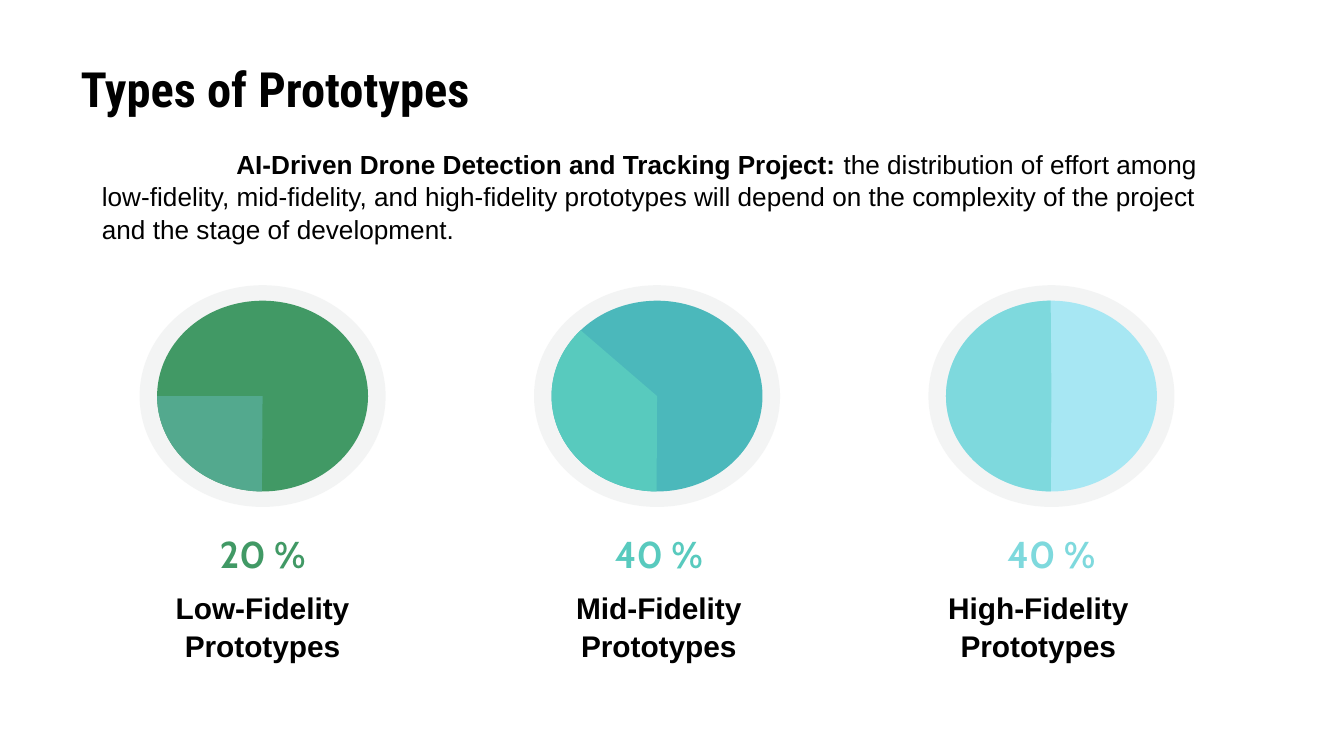
from dataclasses import dataclass

from lxml import etree
from pptx import Presentation
from pptx.dml.color import RGBColor
from pptx.enum import shapes, text
from pptx.oxml.ns import qn
from pptx.util import Pt


@dataclass(frozen=True)
class Theme:
    ink: str = "000000"
    ring: str = "E3E5E5"
    ring_alpha: int = 40
    title_font: str = "Roboto Condensed"
    body_font: str = "Arial"
    number_font: str = "Cabin"
    title_size: float = 26
    body_size: float = 14
    number_size: float = 20
    label_size: float = 16
    line_spacing: float = 1.05


@dataclass(frozen=True)
class Prototype:
    share: str
    label: str
    disc: str
    wedge: str
    number: str
    start: float  # wedge angles in degrees, clockwise from the right
    end: float
    number_shift: float = 0
    label_shift: float = 0


THEME = Theme()
PROTOTYPES = [
    Prototype("20 %", "Low-Fidelity Prototypes", "419965", "53A98E", "419965", 90.41, 179.99),
    Prototype("40 %", "Mid-Fidelity Prototypes", "4BB8BB", "58CABE", "58CABE", 90.25, 220.73, 1, 1),
    Prototype("40 %", "High-Fidelity Prototypes", "A7E7F3", "7ED9DD", "7ED9DD", 90.41, 269.52, 0, -7),
]
FIRST_CENTER, PITCH, MIDDLE = 140.7, 211.3, 212.2
RING_SIZE, DISC_SIZE = (131.8, 118.8), (113, 102.2)
TEXT_WIDTH = 180.5


def add_disc(slide, kind, center: float, size: tuple, color: str):
    """Draw a borderless shape centred on the chart row."""
    w, h = size
    sp = slide.shapes.add_shape(kind, Pt(center - w / 2), Pt(MIDDLE - h / 2), Pt(w), Pt(h))
    sp.shadow.inherit = False
    sp.fill.solid()
    sp.fill.fore_color.rgb = RGBColor.from_string(color)
    sp.line.fill.background()
    return sp


def add_text(slide, box: tuple, words: str, font: str, size: float, color: str = THEME.ink,
             bold: bool = True, inset: float = 7.2,
             align=text.PP_ALIGN.CENTER, anchor=text.MSO_ANCHOR.TOP):
    """Add a one-paragraph text box and return its paragraph."""
    tf = slide.shapes.add_textbox(*(Pt(v) for v in box)).text_frame
    tf.word_wrap = True
    tf.vertical_anchor = anchor
    tf.margin_left = tf.margin_right = Pt(7.2)
    tf.margin_top = tf.margin_bottom = Pt(inset)
    p = tf.paragraphs[0]
    p.alignment = align
    p.font.name, p.font.size, p.font.bold = font, Pt(size), bold
    p.font.color.rgb = RGBColor.from_string(color)
    p.add_run().text = words
    return p


def add_prototype(slide, item: Prototype, center: float) -> None:
    # Pale ring, disc and wedge
    ring = add_disc(slide, shapes.MSO_SHAPE.OVAL, center, RING_SIZE, THEME.ring)
    clr = ring.fill._xPr.find(".//" + qn("a:srgbClr"))
    etree.SubElement(clr, qn("a:alpha")).set("val", str(THEME.ring_alpha * 1000))
    add_disc(slide, shapes.MSO_SHAPE.OVAL, center, DISC_SIZE, item.disc)
    pie = add_disc(slide, shapes.MSO_SHAPE.PIE, center, DISC_SIZE, item.wedge)
    for i, angle in enumerate((item.start, item.end)):
        pie.adjustments[i] = angle * 0.6  # 60000ths of a degree, scaled by 100000

    # Share and label
    left = center - TEXT_WIDTH / 2
    add_text(slide, (left + item.number_shift, 285.1, TEXT_WIDTH, 23), item.share,
             THEME.number_font, THEME.number_size, item.number, anchor=text.MSO_ANCHOR.MIDDLE)
    p = add_text(slide, (left + item.label_shift, 307.8, TEXT_WIDTH, 38.2), item.label,
                 THEME.body_font, THEME.label_size)
    p.line_spacing = THEME.line_spacing


def main() -> None:
    prs = Presentation()
    prs.slide_width, prs.slide_height = Pt(720), Pt(405)
    slide = prs.slides.add_slide(prs.slide_layouts[6])

    # Title
    add_text(slide, (5.8, 24.5, 289.4, 50.4), "Types of Prototypes ",
             THEME.title_font, THEME.title_size)

    # Prototype charts
    for i, item in enumerate(PROTOTYPES):
        add_prototype(slide, item, FIRST_CENTER + i * PITCH)

    # Introduction with an indented first line
    p = add_text(slide, (47.5, 74.9, 625.7, 58.3),
                 "AI-Driven Drone Detection and Tracking Project:",
                 THEME.body_font, THEME.body_size, bold=None, inset=3.6,
                 align=text.PP_ALIGN.LEFT)
    p.line_spacing = THEME.line_spacing
    p._p.get_or_add_pPr().set("indent", str(Pt(72)))
    p.runs[0].font.bold = True
    r = p.add_run()
    r.text = (" the distribution of effort among low-fidelity, mid-fidelity, and high-fidelity "
              "prototypes will depend on the complexity of the project and the stage of development.")

    prs.save("out.pptx")


if __name__ == "__main__":
    main()
